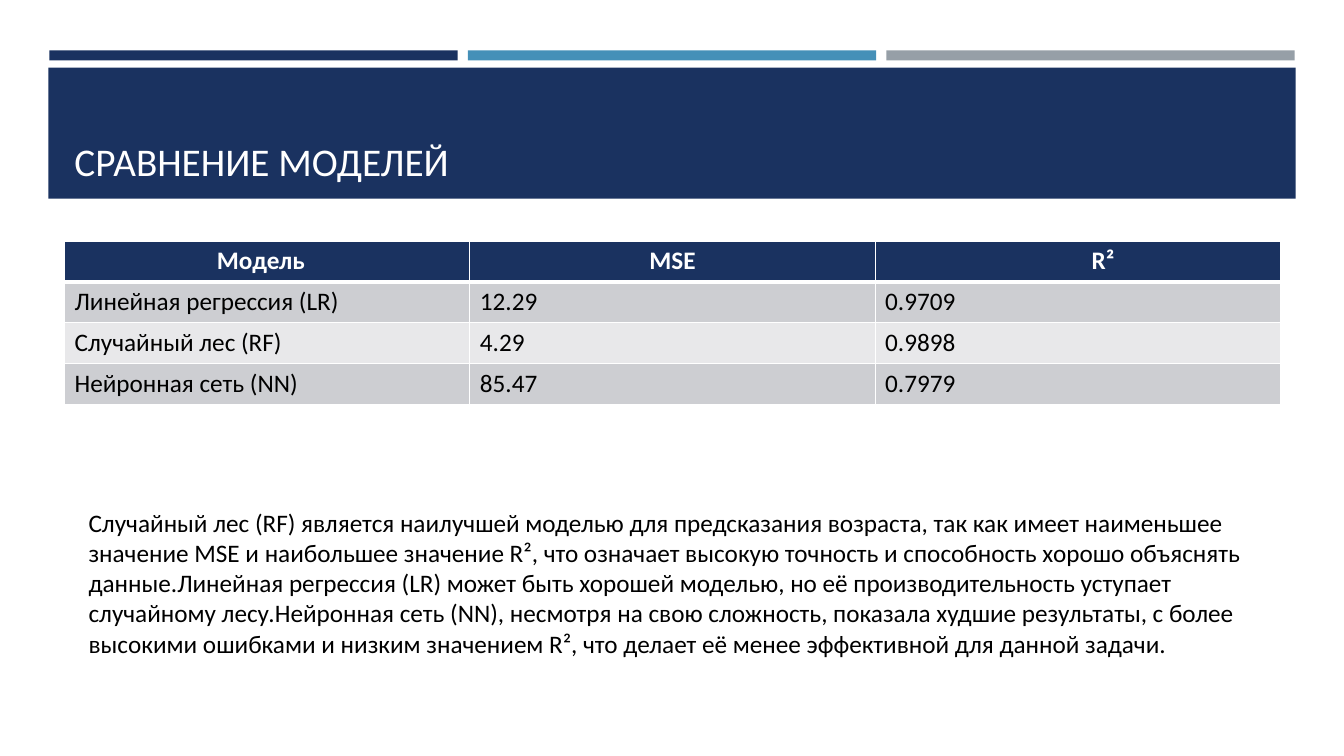
from lxml.etree import SubElement
from pptx import Presentation
from pptx.dml.color import RGBColor
from pptx.enum.shapes import MSO_SHAPE
from pptx.enum.text import MSO_ANCHOR, PP_ALIGN
from pptx.oxml.ns import qn
from pptx.util import Inches, Pt

NAVY, BLUE, GREY, WHITE, BLACK = "1A3260", "4590B8", "969FA7", "FFFFFF", "000000"
BANDS = ["CDCED2", "E8E8EA"]


def rgb(value):
    return RGBColor.from_string(value)


def add_run(p, text, size, color, bold=False):
    r = p.add_run()
    r.text = text
    r.font.name = "Calibri"
    r.font.size = Pt(size)
    r.font.bold = bold
    r.font.color.rgb = rgb(color)


prs = Presentation()
prs.slide_width, prs.slide_height = Inches(13.33), Inches(7.5)
s = prs.slides.add_slide(prs.slide_layouts[6])

# Three accent strips and the title band
bars = [(0.49 + 4.15 * i, 0.5, 4.05, 0.1, c) for i, c in enumerate([NAVY, BLUE, GREY])]
bars.append((0.48, 0.67, 12.37, 1.3, NAVY))
for left, top, width, height, color in bars:
    sp = s.shapes.add_shape(MSO_SHAPE.RECTANGLE, Inches(left), Inches(top),
                            Inches(width), Inches(height))
    sp.shadow.inherit = False
    sp.fill.solid()
    sp.fill.fore_color.rgb = rgb(color)
    sp.line.fill.background()

# Title and conclusion
conclusion = (
    "Случайный лес (RF) является наилучшей моделью для предсказания возраста, "
    "так как имеет наименьшее значение MSE и наибольшее значение R², что означает "
    "высокую точность и способность хорошо объяснять данные."
    "Линейная регрессия (LR) может быть хорошей моделью, но её производительность "
    "уступает случайному лесу."
    "Нейронная сеть (NN), несмотря на свою сложность, показала худшие результаты, "
    "с более высокими ошибками и низким значением R², что делает её менее "
    "эффективной для данной задачи."
)
for left, top, width, height, text, size, color, anchor in [
    (0.64, 0.77, 12.06, 1.11, "СРАВНЕНИЕ МОДЕЛЕЙ", 28, WHITE, MSO_ANCHOR.BOTTOM),
    (0.78, 4.98, 11.78, 1.92, conclusion, 18, BLACK, MSO_ANCHOR.TOP),
]:
    tf = s.shapes.add_textbox(Inches(left), Inches(top), Inches(width), Inches(height)).text_frame
    tf.word_wrap = True
    tf.vertical_anchor = anchor
    add_run(tf.paragraphs[0], text, size, color)

# Table of model metrics
rows = [
    ["Модель\t", "MSE", "\tR²"],
    ["Линейная регрессия (LR)", "12.29", "0.9709"],
    ["Случайный лес (RF)", "4.29", "0.9898"],
    ["Нейронная сеть (NN)", "85.47", "0.7979"],
]
table = s.shapes.add_table(len(rows), 3, Inches(0.64), Inches(2.39),
                           Inches(12.06), Inches(1.62)).table
for i, row in enumerate(rows):
    header = i == 0
    for j, text in enumerate(row):
        cell = table.cell(i, j)
        cell.vertical_anchor = MSO_ANCHOR.TOP if header else MSO_ANCHOR.MIDDLE
        p = cell.text_frame.paragraphs[0]
        p.alignment = PP_ALIGN.CENTER if header else PP_ALIGN.LEFT
        add_run(p, text, 18, WHITE if header else BLACK, header)

        # White borders, thicker between header and body
        tcPr = cell._tc.get_or_add_tcPr()
        for side in "LRTB":
            thick = (i, side) in [(0, "B"), (1, "T")]
            ln = SubElement(tcPr, qn(f"a:ln{side}"), w=str(Pt(3 if thick else 1)))
            SubElement(SubElement(ln, qn("a:solidFill")), qn("a:srgbClr"), val=WHITE)
        cell.fill.solid()
        cell.fill.fore_color.rgb = rgb(NAVY if header else BANDS[(i - 1) % 2])

prs.save("out.pptx")
